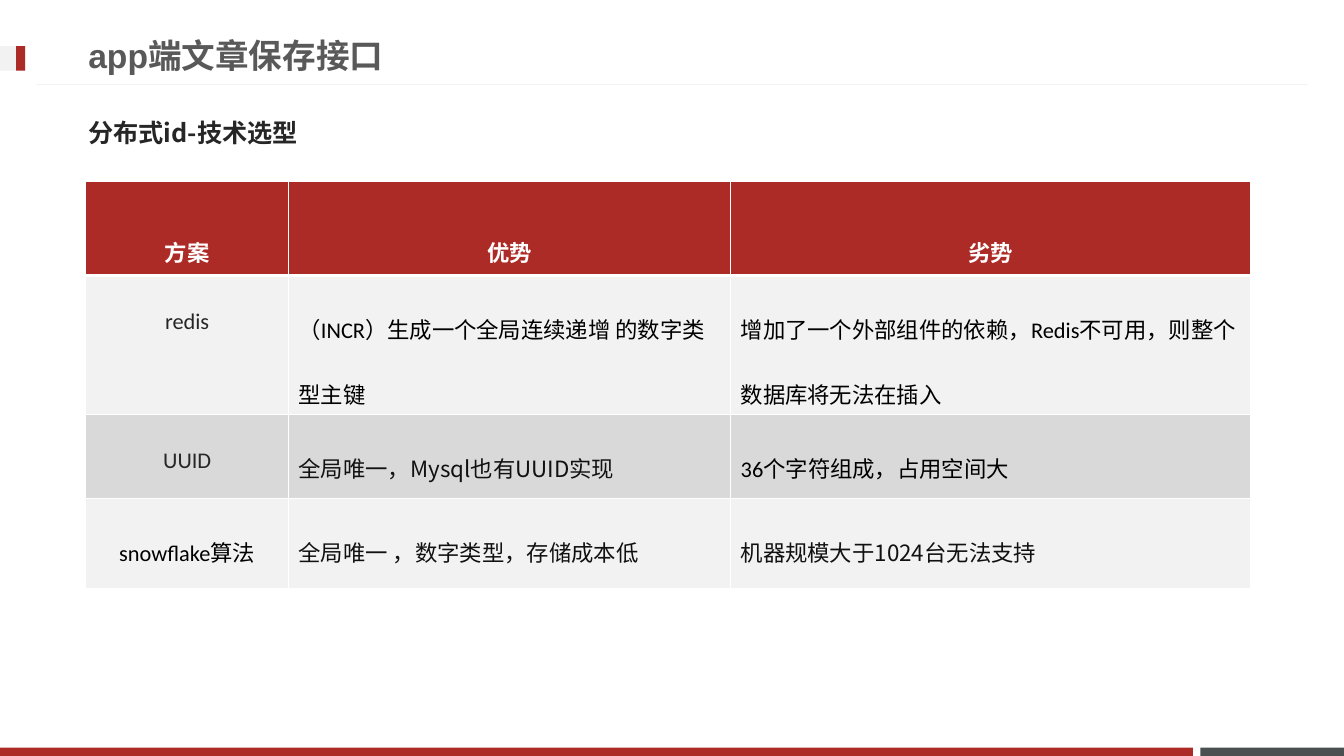
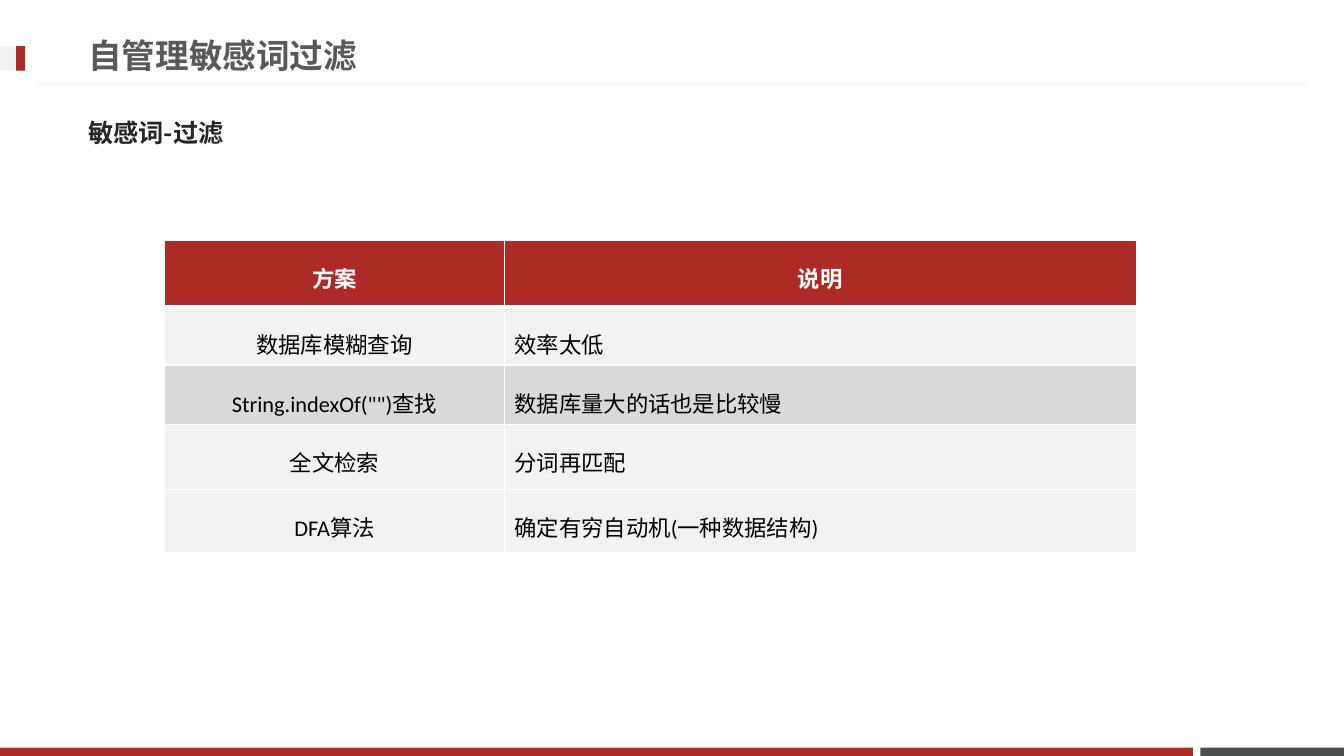
from dataclasses import dataclass
from typing import NamedTuple

from lxml import etree
from pptx import Presentation
from pptx.dml.color import RGBColor
from pptx.enum.shapes import MSO_CONNECTOR, MSO_SHAPE
from pptx.enum.text import MSO_ANCHOR, PP_ALIGN
from pptx.oxml.ns import qn
from pptx.util import Pt

RECT = MSO_SHAPE.RECTANGLE
LINE = MSO_CONNECTOR.STRAIGHT
MIDDLE = MSO_ANCHOR.MIDDLE
LEFT, CENTER = PP_ALIGN.LEFT, PP_ALIGN.CENTER


class Look(NamedTuple):
    font: str
    size: float
    color: str
    bold: bool = False


@dataclass(frozen=True)
class Theme:
    red: str = "AD2B26"
    slate: str = "49504F"
    pale: str = "F2F2F2"
    band: str = "D9D9D9"
    white: str = "FFFFFF"
    title: Look = Look("Arial", 24, "595959", True)
    topic: Look = Look("Noto Sans CJK JP", 18, "262626", True)
    head: Look = Look("Calibri", 16, "FFFFFF", True)
    body: Look = Look("Calibri", 16, "000000")
    soft: Look = Look("Calibri", 16, "262626")
    sans: Look = Look("Noto Sans CJK SC", 16, "111111")
    rule: float = 0.75
    edge: float = 1
    thick: float = 3


THEME = Theme()


class Box(NamedTuple):
    left: float
    top: float
    width: float
    height: float

    def lengths(self) -> list:
        return [Pt(value) for value in self]


class Bar(NamedTuple):
    box: Box
    color: str


class Cell(NamedTuple):
    text: str
    look: Look = THEME.body


@dataclass(frozen=True)
class Grid:
    left: float
    top: float
    cols: list[float]
    rows: list[float]
    cells: list[list[Cell]]
    head_gap: float
    body_gap: float


@dataclass(frozen=True)
class Page:
    title: str
    topic: str
    grid: Grid


WIDE, HIGH = 960, 540
BARS = [
    Bar(Box(857.5, 534, 102.5, 6), THEME.slate),
    Bar(Box(0, 534, 852, 6), THEME.red),
    Bar(Box(0, 33, 18, 17.5), THEME.pale),
    Bar(Box(11.5, 33, 6.5, 17.5), THEME.red),
]
TITLE_BOX = Box(56, 19, 690.5, 41)
TOPIC_BOX = Box(56, 74.25, 842.5, 41)

PAGES = [
    Page("app端文章保存接口", "分布式id-技术选型", Grid(
        61.3, 129.8, [144.8, 315.8, 371.2], [67, 99.4, 59.8, 64.8],
        [
            [Cell("方案"), Cell("优势"), Cell("劣势")],
            [Cell("redis", THEME.soft),
             Cell("（INCR）生成一个全局连续递增 的数字类型主键"),
             Cell("增加了一个外部组件的依赖，Redis不可用，则整个数据库将无法在插入")],
            [Cell("UUID", THEME.soft),
             Cell("全局唯一，Mysql也有UUID实现", THEME.sans),
             Cell("36个字符组成，占用空间大")],
            [Cell("snowflake算法"),
             Cell("全局唯一 ，数字类型，存储成本低", THEME.sans),
             Cell("机器规模大于1024台无法支持", THEME.sans)],
        ], 2.5, 2)),
    Page("自管理敏感词过滤", "敏感词-过滤", Grid(
        117.6, 171.7, [242.7, 451.3], [47.5, 41.6, 42.5, 46.2, 45.2],
        [
            [Cell("方案"), Cell("说明")],
            [Cell("数据库模糊查询"), Cell("效率太低")],
            [Cell('String.indexOf("")查找'), Cell("数据库量大的话也是比较慢")],
            [Cell("全文检索"), Cell("分词再匹配")],
            [Cell("DFA算法"), Cell("确定有穷自动机(一种数据结构)")],
        ], 1.5, 1.5)),
]


def rgb(color: str) -> RGBColor:
    return RGBColor.from_string(color)


def write(para, text: str, look: Look) -> None:
    para.text = text
    font = para.font
    font.name, font.size, font.bold = look.font, Pt(look.size), look.bold
    font.color.rgb = rgb(look.color)


def add_bar(slide, bar: Bar) -> None:
    shape = slide.shapes.add_shape(RECT, *bar.box.lengths())
    shape.shadow.inherit = False
    shape.fill.solid()
    shape.fill.fore_color.rgb = rgb(bar.color)
    shape.line.fill.background()


def add_rule(slide) -> None:
    rule = slide.shapes.add_connector(LINE, Pt(25.5), Pt(60.4), Pt(934.5), Pt(60.4))
    rule.line.color.rgb = rgb(THEME.pale)
    rule.line.width = Pt(THEME.rule)
    etree.SubElement(rule.element.spPr, qn("a:effectLst"))


def add_text(slide, box: Box, text: str, look: Look) -> None:
    frame = slide.shapes.add_textbox(*box.lengths()).text_frame
    frame.word_wrap = True
    frame.vertical_anchor = MIDDLE
    write(frame.paragraphs[0], text, look)


def add_edges(cell, row: int) -> None:
    """Draw white cell borders, with a thick one under the header row."""
    props = cell._tc.get_or_add_tcPr()
    widths = {
        "L": THEME.edge,
        "R": THEME.edge,
        "T": THEME.thick if row == 1 else THEME.edge,
        "B": THEME.thick if row == 0 else THEME.edge,
    }
    for side, width in widths.items():
        line = etree.SubElement(props, qn(f"a:ln{side}"), w=str(Pt(width)))
        fill = etree.SubElement(line, qn("a:solidFill"))
        etree.SubElement(fill, qn("a:srgbClr"), val=THEME.white)


def row_fill(row: int) -> str:
    if row == 0:
        return THEME.red
    return THEME.band if row == 2 else THEME.pale


def add_grid(slide, grid: Grid) -> None:
    box = Box(grid.left, grid.top, sum(grid.cols), sum(grid.rows))
    table = slide.shapes.add_table(
        len(grid.rows), len(grid.cols), *box.lengths()).table
    table.horz_banding = False
    for col, width in zip(table.columns, grid.cols):
        col.width = Pt(width)
    for row, height in zip(table.rows, grid.rows):
        row.height = Pt(height)
    for i, items in enumerate(grid.cells):
        for j, item in enumerate(items):
            cell = table.cell(i, j)
            add_edges(cell, i)
            cell.fill.solid()
            cell.fill.fore_color.rgb = rgb(row_fill(i))
            para = cell.text_frame.paragraphs[0]
            write(para, item.text, THEME.head if i == 0 else item.look)
            para.alignment = CENTER if i == 0 or j == 0 else LEFT
            para.line_spacing = float(grid.body_gap if i else grid.head_gap)


def add_page(deck, page: Page) -> None:
    slide = deck.slides.add_slide(deck.slide_layouts[6])
    for bar in BARS:
        add_bar(slide, bar)
    add_rule(slide)
    add_text(slide, TITLE_BOX, page.title, THEME.title)
    add_text(slide, TOPIC_BOX, page.topic, THEME.topic)
    add_grid(slide, page.grid)


def main() -> None:
    deck = Presentation()
    deck.slide_width, deck.slide_height = Pt(WIDE), Pt(HIGH)
    for page in PAGES:
        add_page(deck, page)
    deck.save("out.pptx")


if __name__ == "__main__":
    main()
